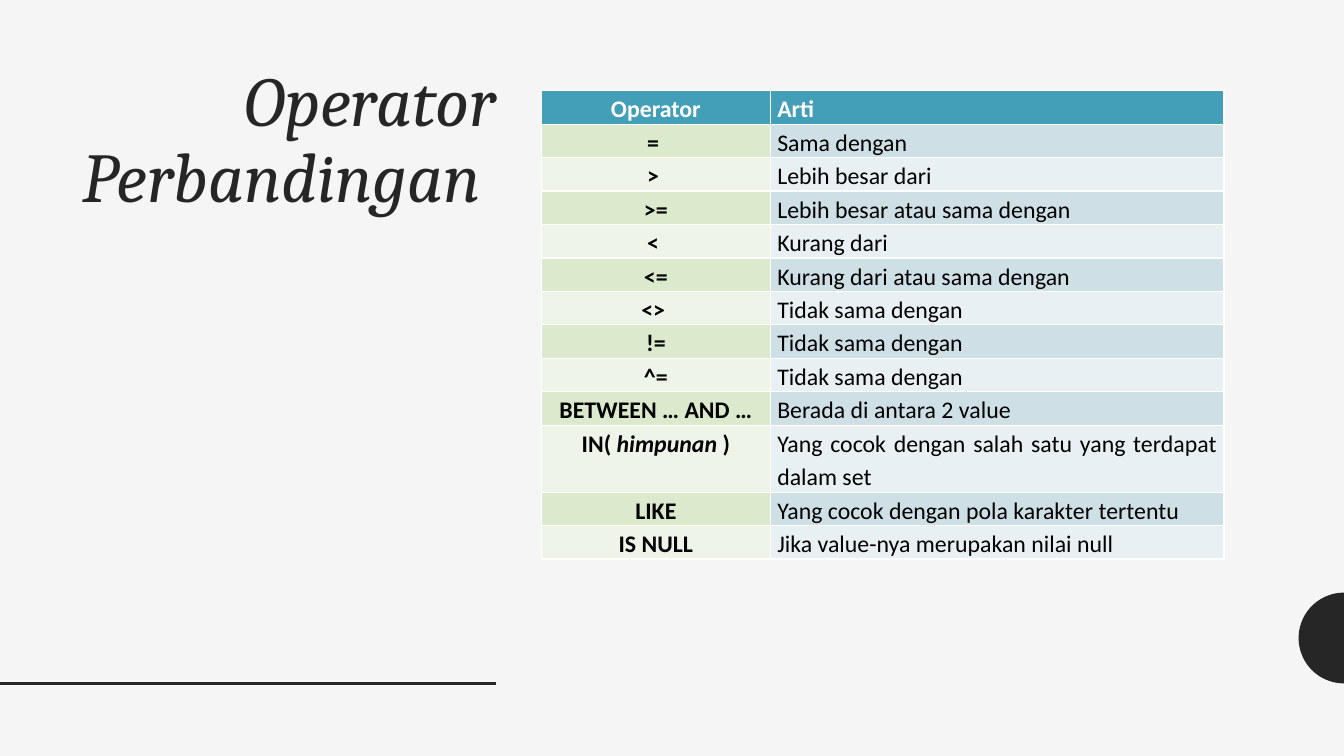
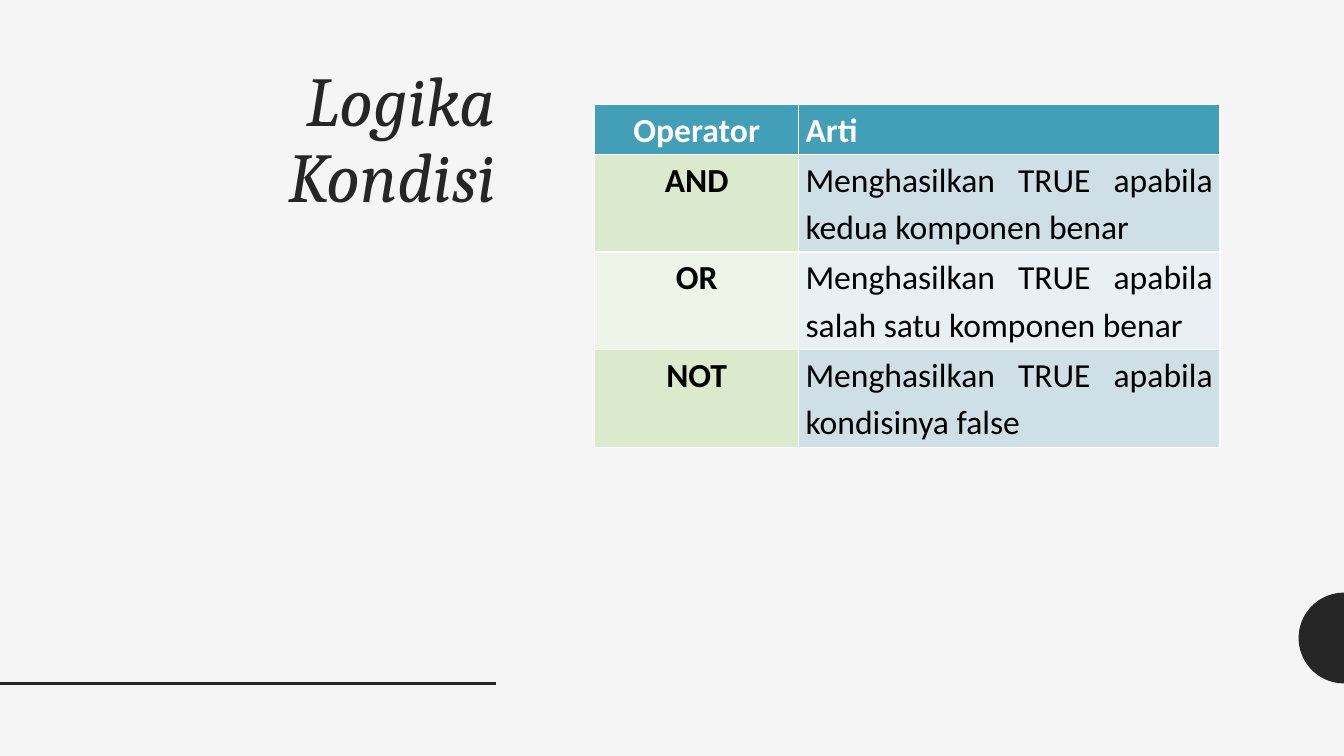
from math import cos, pi, sin

from lxml import etree
from pptx import Presentation
from pptx.dml.color import RGBColor
from pptx.enum.shapes import MSO_CONNECTOR
from pptx.enum.text import MSO_ANCHOR, MSO_AUTO_SIZE, PP_ALIGN
from pptx.oxml.ns import qn
from pptx.util import Inches, Pt

STRAIGHT = MSO_CONNECTOR.STRAIGHT
TOP = MSO_ANCHOR.TOP
NO_AUTOFIT = MSO_AUTO_SIZE.NONE
CENTER, JUSTIFY, RIGHT = PP_ALIGN.CENTER, PP_ALIGN.JUSTIFY, PP_ALIGN.RIGHT

# Shared style
BACKGROUND = RGBColor(0xF5, 0xF5, 0xF5)
DARK = RGBColor(0x26, 0x26, 0x26)
BLACK = RGBColor(0, 0, 0)
WHITE = RGBColor(0xFF, 0xFF, 0xFF)
HEADER = RGBColor(0x43, 0x9E, 0xB7)
OPERATOR_BANDS = (RGBColor(0xDB, 0xE9, 0xCD), RGBColor(0xEE, 0xF4, 0xE8))
MEANING_BANDS = (RGBColor(0xCF, 0xDF, 0xE6), RGBColor(0xE9, 0xF0, 0xF3))
TITLE_FONT, TABLE_FONT = "Cambria", "Calibri"
SLIDE_WIDTH, SLIDE_HEIGHT = 13.33, 7.5
RULE_Y, TITLE_RIGHT = 6.78, 5.02
TITLE_ONLY = 5


class Deck:
    def __init__(self):
        self.presentation = Presentation()
        self.presentation.slide_width = Inches(SLIDE_WIDTH)
        self.presentation.slide_height = Inches(SLIDE_HEIGHT)
        fill = self.presentation.slide_master.background.fill
        fill.solid()
        fill.fore_color.rgb = BACKGROUND
        self.slide = None

    def new_slide(self, title, title_left):
        layout = self.presentation.slide_layouts[TITLE_ONLY]
        self.slide = self.presentation.slides.add_slide(layout)
        self.half_circle(SLIDE_WIDTH, 6.33, 0.45)
        self.rule(4.92, RULE_Y)
        self.title(title, title_left)

    def half_circle(self, center_x, center_y, radius):
        steps = 48
        angles = [pi / 2 + pi * step / steps for step in range(steps + 1)]
        points = [(Inches(center_x + radius * cos(angle)),
                   Inches(center_y + radius * sin(angle))) for angle in angles]
        builder = self.slide.shapes.build_freeform(*points[0])
        builder.add_line_segments(points[1:], close=True)
        shape = builder.convert_to_shape()
        shape.shadow.inherit = False
        shape.fill.solid()
        shape.fill.fore_color.rgb = DARK
        shape.line.fill.background()

    def rule(self, right, y):
        line = self.slide.shapes.add_connector(
            STRAIGHT, 0, Inches(y), Inches(right), Inches(y))
        line.line.color.rgb = DARK
        line.line.width = Pt(2)
        etree.SubElement(line._element.spPr, qn("a:effectLst"))

    def title(self, text, left):
        shape = self.slide.shapes.title
        shape.left, shape.top = Inches(left), Inches(0.61)
        shape.width, shape.height = Inches(TITLE_RIGHT - left), Inches(5.42)
        frame = shape.text_frame
        frame.word_wrap = True
        frame.auto_size = NO_AUTOFIT
        frame.vertical_anchor = TOP
        paragraph = frame.paragraphs[0]
        paragraph.alignment = RIGHT
        paragraph.line_spacing = 0.9
        self.run(paragraph, text, TITLE_FONT, 50, DARK, italic=True)

    def run(self, paragraph, text, font, size, color, bold=False, italic=False):
        run = paragraph.add_run()
        run.text = text
        run.font.name = font
        run.font.size = Pt(size)
        run.font.color.rgb = color
        run.font.bold = bold
        run.font.italic = italic

    def table(self, left, top, widths, heights, size, rows):
        """Each row is (operator, meaning); an operator may be a tuple of
        (text, italic) runs."""
        rows = [("Operator", "Arti")] + rows
        table = self.slide.shapes.add_table(
            len(rows), len(widths), Inches(left), Inches(top),
            Inches(sum(widths)), Inches(sum(heights))).table
        for column, width in zip(table.columns, widths):
            column.width = Inches(width)
        for row, height in zip(table.rows, heights):
            row.height = Inches(height)
        for row_index, (operator, meaning) in enumerate(rows):
            is_header = row_index == 0
            color = WHITE if is_header else BLACK
            band = (row_index - 1) % 2
            columns = ((operator, CENTER, True, OPERATOR_BANDS),
                       (meaning, JUSTIFY, is_header, MEANING_BANDS))
            for column_index, (text, align, bold, bands) in enumerate(columns):
                cell = table.cell(row_index, column_index)
                self.cell_style(cell, HEADER if is_header else bands[band])
                paragraph = cell.text_frame.paragraphs[0]
                paragraph.alignment = align
                paragraph.line_spacing = 1.15
                paragraph.space_after = Pt(10)
                pieces = ((text, False),) if isinstance(text, str) else text
                for piece, italic in pieces:
                    self.run(paragraph, piece, TABLE_FONT, size, color,
                             bold, italic)

    def cell_style(self, cell, color):
        cell.margin_left = cell.margin_right = Inches(0.07)
        cell.margin_top = cell.margin_bottom = 0
        cell.vertical_anchor = TOP
        properties = cell._tc.get_or_add_tcPr()
        for side in ("lnL", "lnR", "lnT", "lnB"):
            border = etree.SubElement(properties, qn(f"a:{side}"), w=str(Pt(1)))
            solid = etree.SubElement(border, qn("a:solidFill"))
            etree.SubElement(solid, qn("a:srgbClr"), val=str(WHITE))
        cell.fill.solid()
        cell.fill.fore_color.rgb = color


deck = Deck()

# Slide 1: comparison operators
comparisons = [
    ("= ", "Sama dengan"),
    (">\u00a0", "Lebih besar dari"),
    (">=", "Lebih besar atau sama dengan"),
    ("<\u00a0", "Kurang dari"),
    ("<=", "Kurang dari atau sama dengan"),
    ("<>\u00a0", "Tidak sama dengan"),
    ("!=", "Tidak sama dengan"),
    ("^=", "Tidak sama dengan"),
    ("BETWEEN … AND …", "Berada di antara 2 value"),
    ((("IN( ", False), ("himpunan", True), (" )", False)),
     "Yang cocok dengan salah satu yang terdapat dalam set"),
    ("LIKE", "Yang cocok dengan pola karakter tertentu"),
    ("IS NULL", "Jika value-nya merupakan nilai null"),
]
deck.new_slide("Operator Perbandingan ", 0.21)
deck.table(5.37, 0.9, (2.27, 4.5), [0.33] * 10 + [0.66] + [0.33] * 2, 17,
           comparisons)

# Slide 2: logical conditions
conditions = [
    ("AND", "Menghasilkan TRUE apabila kedua komponen benar"),
    ("OR", "Menghasilkan TRUE apabila salah satu komponen benar"),
    ("NOT", "Menghasilkan TRUE apabila kondisinya false"),
]
deck.new_slide("Logika Kondisi", 0.83)
deck.table(5.9, 1.04, (2.02, 4.18), [0.49] + [0.97] * 3, 24, conditions)

deck.presentation.save("out.pptx")
